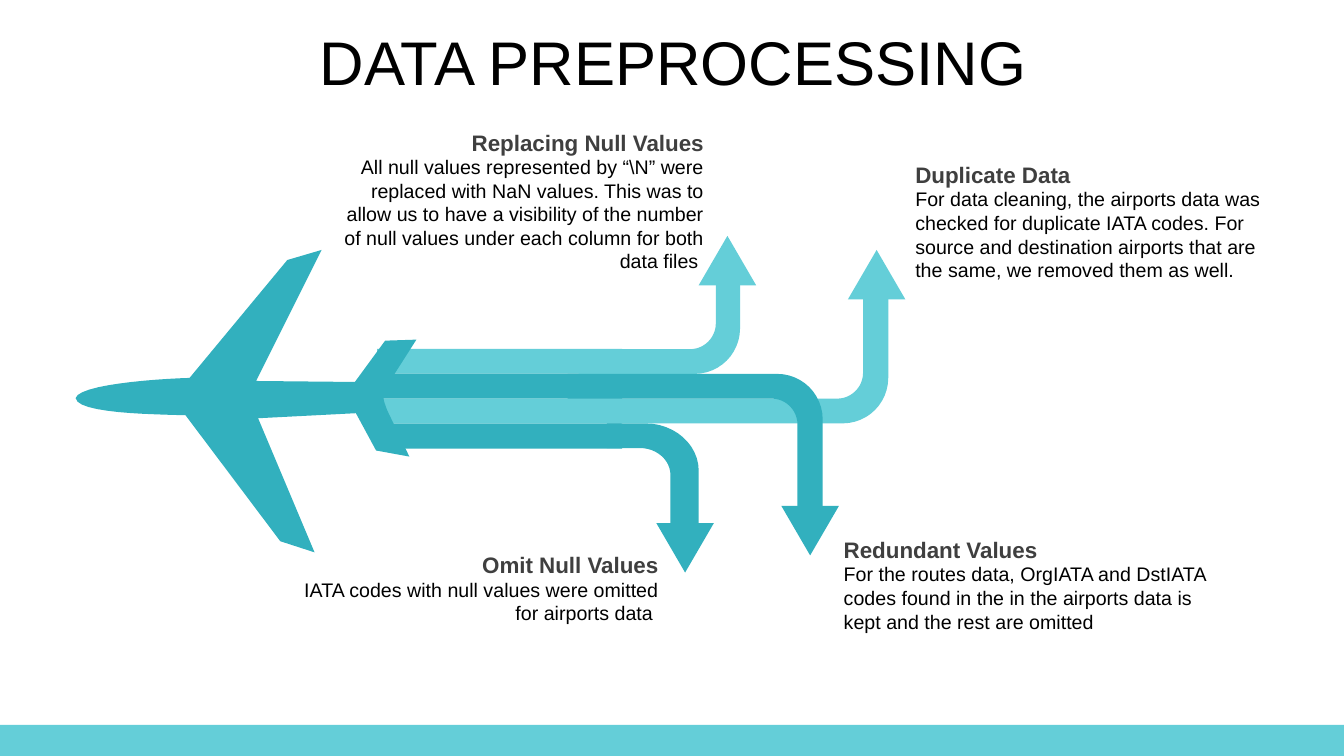
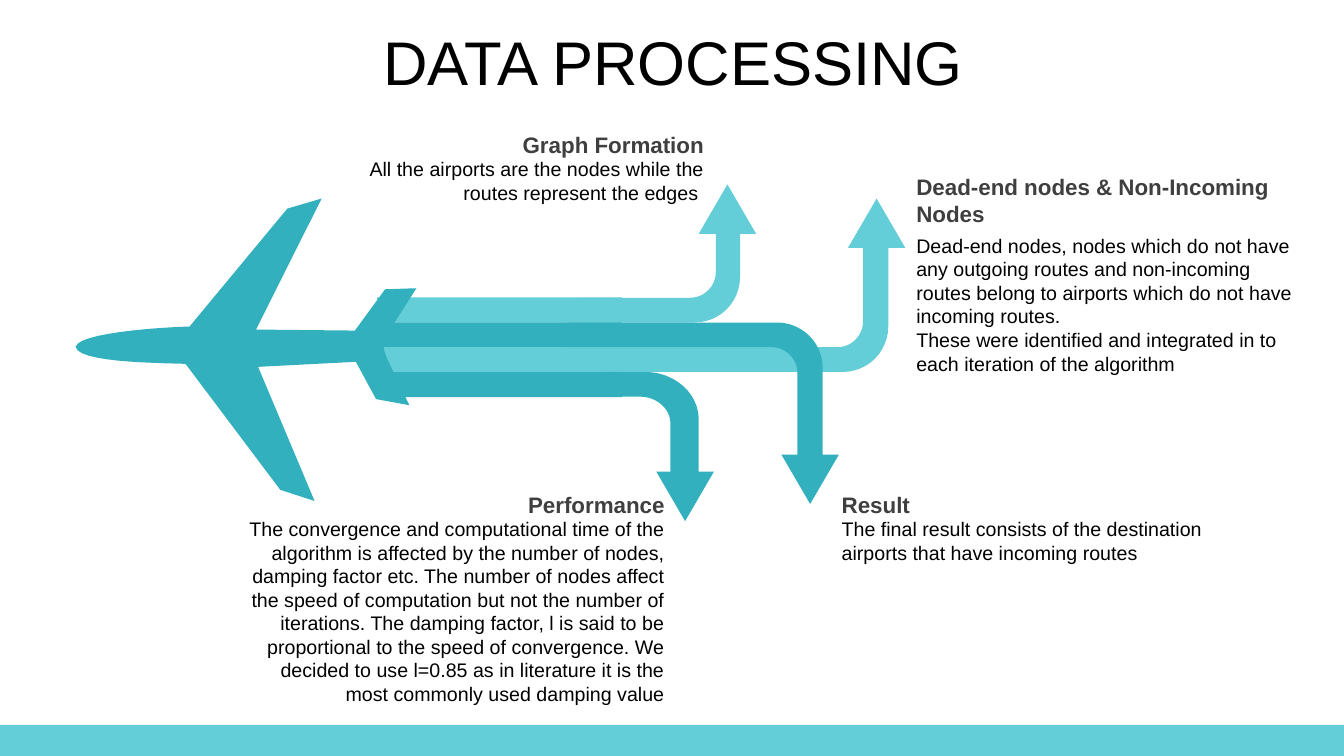
from pptx import Presentation
from pptx.dml.color import RGBColor
from pptx.enum.shapes import MSO_SHAPE
from pptx.enum.text import MSO_ANCHOR, PP_ALIGN
from pptx.util import Inches, Pt

HUES = {"light": "64CED8", "dark": "32B0BE", "head": "3F3F3F", "text": "000000"}
FONT = "Arial"
LEFT, MID, RIGHT = PP_ALIGN.LEFT, PP_ALIGN.CENTER, PP_ALIGN.RIGHT
STEPS = 12

PLANE = [
    (4.13, 3.37), (3.83, 3.84), (3.79, 3.95, 3.8, 3.96, 3.84, 4.07),
    (4.06, 4.53), (3.73, 4.47), (3.53, 4.1), (2.56, 4.15), (3.12, 5.48),
    (2.78, 5.37), (1.84, 4.12), (1.48, 4.11, 0.77, 4.1, 0.75, 3.95),
    (0.78, 3.82, 1.51, 3.76, 1.88, 3.75), (2.85, 2.58), (3.19, 2.48),
    (2.54, 3.78), (3.52, 3.79), (3.82, 3.38),
]

BANDS = ["light", "dark", "light", "dark"]

BENDS = [
    dict(x=6.02, edge=4.2, right=6.93, end=5.28, wide=0.28, hue="dark", curve=(0.53, 0.47)),
    dict(x=5.74, edge=3.71, right=7.34, end=2.78, wide=0.24, hue="light"),
    dict(x=6.16, edge=4.2, right=8.81, end=2.75, wide=0.25, hue="light"),
    dict(x=5.63, edge=3.71, right=8.16, end=5.14, wide=0.25, hue="dark"),
]

HEADS = [
    (7.75, 5.02, "dark", 180), (6.51, 5.19, "dark", 180),
    (6.93, 2.34, "light", 0), (8.41, 2.48, "light", 0),
]

PAGES = [
    dict(title="DATA PREPROCESSING", rise=0, notes=[
        dict(x=8.27, y=5.27, wide=3.86, head="Redundant Values",
             body=["For the routes data, OrgIATA and DstIATA codes found in the in the "
                   "airports data is kept and the rest are omitted"]),
        dict(x=8.98, y=1.55, wide=3.86, head="Duplicate Data",
             body=["For data cleaning, the airports data was checked for duplicate IATA "
                   "codes. For source and destination airports that are the same, we "
                   "removed them as well."]),
        dict(x=3.26, y=1.23, wide=3.82, align=RIGHT, head="Replacing Null Values",
             body=["All null values represented by “\\N” were replaced with NaN values. "
                   "This was to allow us to have a visibility of the number of null "
                   "values under each column for both data files "]),
        dict(x=2.81, y=5.42, wide=3.82, align=RIGHT, head="Omit Null Values",
             body=["IATA codes with null values were omitted for airports data "]),
    ]),
    dict(title="DATA PROCESSING", rise=0.51, notes=[
        dict(x=8.25, y=4.82, wide=3.86, head="Result",
             body=["The final result consists of the destination airports that have "
                   "incoming routes"]),
        dict(x=8.99, y=1.67, wide=4.03, drop=0.6, head="Dead-end nodes & Non-Incoming Nodes",
             body=["Dead-end nodes, nodes which do not have any outgoing routes and "
                   "non-incoming routes belong to airports which do not have incoming routes.",
                   "These were identified and integrated in to each iteration of the algorithm"]),
        dict(x=3.26, y=1.25, wide=3.82, align=RIGHT, head="Graph Formation",
             body=["All the airports are the nodes while the routes represent the edges "]),
        dict(x=2.3, y=4.82, wide=4.39, align=RIGHT, head="Performance",
             body=["The convergence and computational time of the algorithm is affected by "
                   "the number of nodes, damping factor etc. The number of nodes affect the "
                   "speed of computation but not the number of iterations. The damping "
                   "factor, l is said to be proportional to the speed of convergence. We "
                   "decided to use l=0.85 as in literature it is the most commonly used "
                   "damping value"]),
    ]),
]


def write(frame, lines, size=14, hue="text", bold=False, align=LEFT, space=1.0):
    frame.word_wrap = True
    for i, line in enumerate(lines):
        para = frame.add_paragraph() if i else frame.paragraphs[0]
        para.alignment, para.line_spacing = align, space
        run = para.add_run()
        run.text = line
        font = run.font
        font.name, font.size, font.bold = FONT, Pt(size), bold
        font.color.rgb = RGBColor.from_string(HUES[hue])


def flatten(marks):
    points = []
    for mark in marks:
        if len(mark) == 2:
            points.append(mark)
            continue
        nodes = [points[-1], mark[:2], mark[2:4], mark[4:]]
        for i in range(1, STEPS + 1):
            t = i / STEPS
            parts = ((1 - t) ** 3, 3 * t * (1 - t) ** 2, 3 * t * t * (1 - t), t ** 3)
            points.append(tuple(sum(p * n[k] for p, n in zip(parts, nodes)) for k in (0, 1)))
    return points


class Deck:
    """Hold the deck style and the current slide."""

    def __init__(self):
        self.show = Presentation()
        self.show.slide_width, self.show.slide_height = Inches(13.33), Inches(7.5)

    def start(self, title):
        self.slide = self.show.slides.add_slide(self.show.slide_layouts[6])
        self.shape(MSO_SHAPE.RECTANGLE, 0, 7.19, 13.33, 0.31, "light")
        frame = self.text(0.35, 0.25, 12.66, 0.79, [title], size=44, align=MID, space=0.9)
        frame.vertical_anchor = MSO_ANCHOR.MIDDLE

    def paint(self, item, hue):
        item.shadow.inherit = False
        item.fill.solid()
        item.fill.fore_color.rgb = RGBColor.from_string(HUES[hue])
        item.line.fill.background()
        return item

    def shape(self, kind, x, y, wide, high, hue):
        box = (Inches(v) for v in (x, y, wide, high))
        return self.paint(self.slide.shapes.add_shape(kind, *box), hue)

    def text(self, x, y, wide, high, lines, **style):
        box = (Inches(v) for v in (x, y, wide, high))
        frame = self.slide.shapes.add_textbox(*box).text_frame
        write(frame, lines, **style)
        return frame

    def trace(self, marks, hue, rise):
        points = [(Inches(x), Inches(y - rise)) for x, y in flatten(marks)]
        form = self.slide.shapes.build_freeform(*points[0], scale=1.0)
        form.add_line_segments(points[1:], close=True)
        self.paint(form.convert_to_shape(), hue)

    def band(self, rank, hue, rise):
        high = 0.99 / len(BANDS)
        left, wide, top = 3.74, 2.43, 3.46 - rise + rank * high
        bar = self.shape(MSO_SHAPE.RECTANGLE, left + (wide - high) / 2,
                         top + (high - wide) / 2, high, wide, hue)
        bar.rotation = 90

    def bend(self, x, edge, right, end, wide, hue, rise, curve=(0.45, 0.45)):
        way = 1 if end > edge else -1
        near, ratio = 0.45, 0.57
        inner, side = right - wide, edge + way * 0.245
        across, down = curve[0], way * curve[1]
        short, low = across * ratio, down * ratio
        self.trace([
            (x, edge), (right - across, edge),
            (right - near * across, edge, right, edge + near * down, right, edge + down),
            (right, end), (inner, end), (inner, side + low),
            (inner, side + near * low, inner - near * short, side, inner - short, side),
            (x, side),
        ], hue, rise)

    def head(self, x, y, hue, turn, rise):
        tip = self.shape(MSO_SHAPE.ISOSCELES_TRIANGLE, x, y - rise, 0.57, 0.49, hue)
        tip.rotation = turn

    def note(self, x, y, wide, head, body, align=LEFT, drop=0.26):
        self.text(x, y + drop, wide, 0.5, body, align=align)
        self.text(x, y, wide, 0.3, [head], size=16, hue="head", bold=True, align=align)


def main():
    deck = Deck()
    for page in PAGES:
        rise = page["rise"]
        deck.start(page["title"])
        for rank, hue in enumerate(BANDS):
            deck.band(rank, hue, rise)
        for bend in BENDS:
            deck.bend(rise=rise, **bend)
        for head in HEADS:
            deck.head(*head, rise)
        for note in page["notes"]:
            deck.note(**note)
        deck.trace(PLANE, "dark", rise)
    deck.show.save("out.pptx")


if __name__ == "__main__":
    main()
